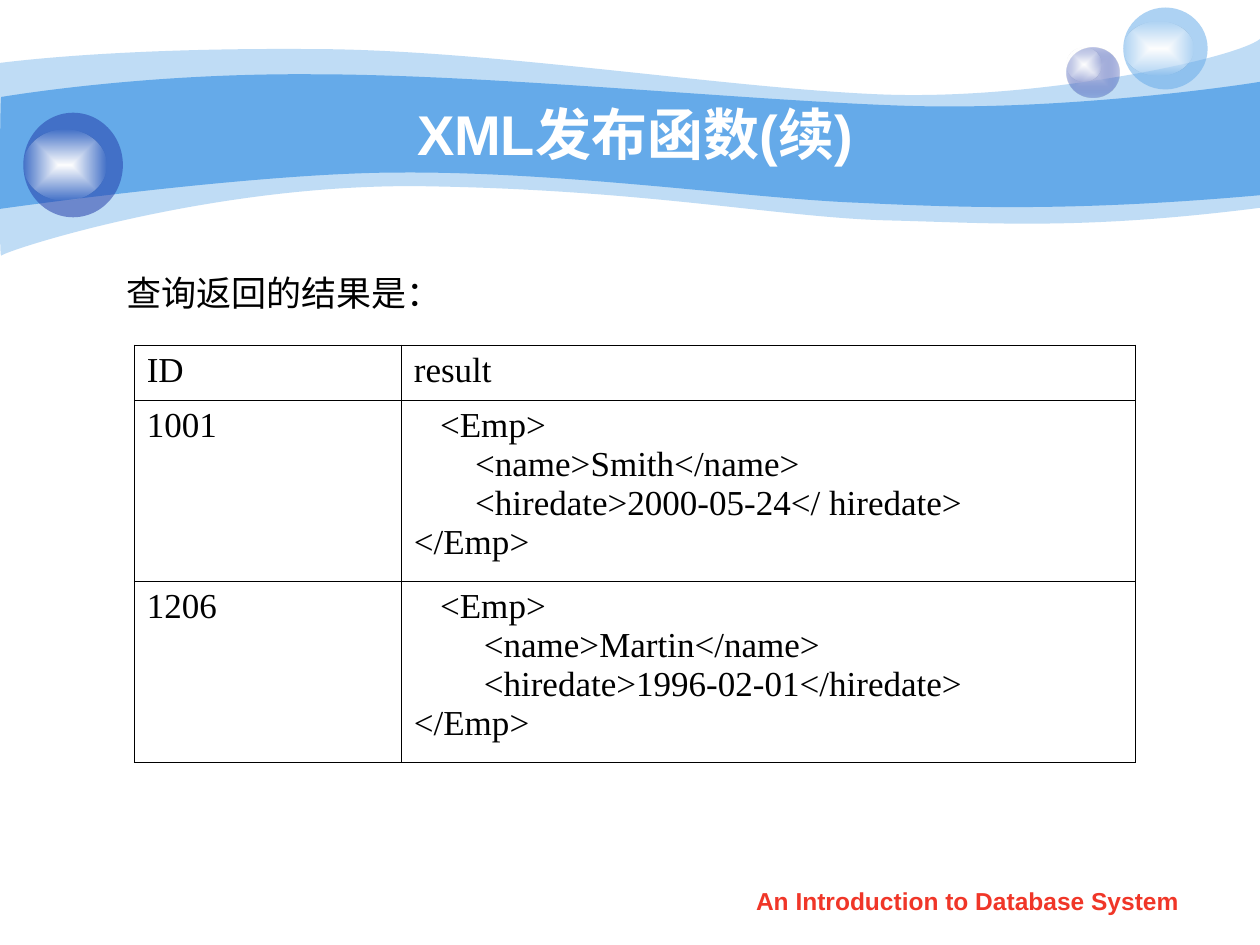
from lxml import etree
from pptx import Presentation
from pptx.dml.color import RGBColor
from pptx.enum.shapes import MSO_SHAPE
from pptx.enum.text import MSO_ANCHOR, PP_ALIGN
from pptx.oxml.ns import qn
from pptx.util import Inches, Pt

OVAL = MSO_SHAPE.OVAL
LEFT, CENTER = PP_ALIGN.LEFT, PP_ALIGN.CENTER
TOP, MIDDLE = MSO_ANCHOR.TOP, MSO_ANCHOR.MIDDLE

WHITE = RGBColor(0xFF, 0xFF, 0xFF)
CLEAR_WHITE = RGBColor(0xFE, 0xFE, 0xFE)
BLACK = RGBColor(0x00, 0x00, 0x00)
SKY = RGBColor(0x65, 0xAA, 0xE9)
NAVY = RGBColor(0x23, 0x3D, 0xA9)
LILAC = RGBColor(0xC6, 0xCC, 0xE8)
RED = RGBColor(0xF0, 0x36, 0x28)

COLUMNS, ROWS = 100, 75
WIDTH, HEIGHT = Inches(10), Inches(7.5)
SANS, SERIF = "Arial", "Times New Roman"
BODY_SIZE = 20
SPACE_WIDTH = BODY_SIZE / 4

PALE_WAVE = [
    [(0, 5)], [(2.4, 4.7), (10.7, 3.8), (24.7, 3.9)],
    [(38.6, 3.9), (57.5, 7), (69.9, 7.5)], [(82.2, 8), (98, 4.7), (100, 3.1)],
    [(100, 16.5)], [(85.8, 18.3), (78.7, 17.7), (70.5, 17.5)],
    [(62.2, 17.3), (51.5, 15.1), (34.3, 14.8)],
    [(17.2, 14.4), (0.4, 19.9), (0.1, 20.3)], [(-0.1, 20.8), (0, 7.5), (0, 5)],
]
STRONG_WAVE = [
    [(0.1, 7.7)], [(0.2, 7.7), (11, 5.8), (24.8, 5.9)],
    [(38.6, 5.9), (59.5, 8), (71.8, 8.4)], [(84.1, 8.8), (97.6, 6.9), (100, 6.5)],
    [(100, 15.5)], [(85.3, 16.8), (76.5, 16.5), (68.2, 16.1)],
    [(59.9, 15.8), (44.7, 13.6), (31.7, 13.7)],
    [(20.3, 13.7), (-0.2, 16.6), (-0.1, 16.6)], [(0, 16.6), (0, 7.7), (0.1, 7.7)],
]
RESULTS = [
    ("ID", [("result", 0)]),
    ("1001", [("<Emp>", 3), ("<name>Smith</name>", 7),
              ("<hiredate>2000-05-24</ hiredate>", 7), ("</Emp>", 0)]),
    ("1206", [("<Emp>", 3), ("<name>Martin</name>", 8),
              ("<hiredate>1996-02-01</hiredate>", 8), ("</Emp>", 0)]),
]


def across(columns):
    return round(WIDTH * columns / COLUMNS)


def down(rows):
    return round(HEIGHT * rows / ROWS)


def place(box):
    left, top, width, height = box
    return across(left), down(top), across(width), down(height)


def add_color(parent, color, opacity):
    element = etree.SubElement(parent, qn("a:srgbClr"), val=str(color))
    if opacity < 100:
        etree.SubElement(element, qn("a:alpha"), val=str(opacity * 1000))


def paint(shape, *stops):
    shape.shadow.inherit = False
    shape.line.fill.background()
    shape.fill.background()
    old = shape._element.spPr.find(qn("a:noFill"))
    if len(stops) == 1:
        fill = etree.Element(qn("a:solidFill"))
        add_color(fill, *stops[0])
    else:
        fill = etree.Element(qn("a:gradFill"), rotWithShape="1")
        stop_list = etree.SubElement(fill, qn("a:gsLst"))
        for position, stop in zip(("0", "100000"), stops):
            add_color(etree.SubElement(stop_list, qn("a:gs"), pos=position), *stop)
        shade = etree.SubElement(fill, qn("a:path"), path="rect")
        etree.SubElement(shade, qn("a:fillToRect"),
                         {side: "50000" for side in "ltrb"})
    old.getparent().replace(old, fill)


def bend(shape, segments):
    lines = iter(list(shape._element.iter(qn("a:lnTo"))))
    for segment in segments:
        parts = [next(lines) for _ in segment]
        if len(parts) == 3:
            curve = etree.Element(qn("a:cubicBezTo"))
            parts[0].addprevious(curve)
            for part in parts:
                curve.append(part[0])
                part.getparent().remove(part)


def add_wave(page, outline, opacity):
    corners = [(across(x), down(y)) for segment in outline for x, y in segment]
    builder = page.shapes.build_freeform(*corners[0], scale=1.0)
    builder.add_line_segments(corners[1:], close=True)
    wave = builder.convert_to_shape()
    bend(wave, outline[1:])
    paint(wave, (SKY, opacity))


def add_bubble(page, box, glow_box, *stops):
    group = page.shapes.add_group_shape()
    paint(group.shapes.add_shape(OVAL, *place(box)), *stops)
    paint(group.shapes.add_shape(OVAL, *place(glow_box)), (WHITE, 100), (CLEAR_WHITE, 0))


def write(para, text, size=BODY_SIZE, font=SERIF, color=BLACK, bold=False,
          align=LEFT, indent=0):
    para.alignment = align
    if indent:
        para._p.get_or_add_pPr().set("marL", str(Pt(indent * SPACE_WIDTH)))
    span = para.add_run()
    span.text = text
    span.font.size = Pt(size)
    span.font.name = font
    span.font.bold = bold
    span.font.color.rgb = color


def add_text(page, box, text, anchor=TOP, wrap=True, **style):
    frame = page.shapes.add_textbox(*place(box)).text_frame
    frame.word_wrap = wrap
    frame.vertical_anchor = anchor
    write(frame.paragraphs[0], text, **style)


def frame_cell(cell):
    properties = cell._tc.get_or_add_tcPr()
    for side in ("a:lnL", "a:lnR", "a:lnT", "a:lnB"):
        border = etree.SubElement(properties, qn(side), w=str(Pt(0.45)))
        add_color(etree.SubElement(border, qn("a:solidFill")), BLACK, 100)
    cell.fill.background()


def add_results(page, box):
    table = page.shapes.add_table(len(RESULTS), 2, *place(box)).table
    table.first_row = table.horz_banding = False
    for column, width in zip(table.columns, (21.2, 58.3)):
        column.width = across(width)
    for row, height in zip(table.rows, (4.38, 14.37, 14.37)):
        row.height = down(height)
    for row, (key, lines) in zip(table.rows, RESULTS):
        for cell, content in zip(row.cells, ([(key, 0)], lines)):
            frame_cell(cell)
            frame = cell.text_frame
            for number, (text, indent) in enumerate(content):
                para = frame.add_paragraph() if number else frame.paragraphs[0]
                write(para, text, indent=indent)


def add_banner(page):
    add_wave(page, PALE_WAVE, 41)
    add_wave(page, STRONG_WAVE, 100)
    add_bubble(page, (84.65, 3.75, 4.2, 4), (84.65, 3.75, 2.8, 2.7), (LILAC, 100), (NAVY, 31))
    add_bubble(page, (89.15, 0.6, 6.7, 6.5), (89.15, 1.7, 5.6, 4.3), (SKY, 53))
    add_bubble(page, (1.85, 8.95, 7.9, 8.3), (1.85, 10.3, 6.6, 5.6), (NAVY, 53))


def main():
    deck = Presentation()
    deck.slide_width, deck.slide_height = WIDTH, HEIGHT
    page = deck.slides.add_slide(deck.slide_layouts[6])
    add_banner(page)
    add_text(page, (10, 7.5, 80.8, 6.2), "XML发布函数(续)", anchor=MIDDLE,
             size=32, font=SANS, color=WHITE, bold=True, align=CENTER)
    add_text(page, (9.05, 21, 27, 4.4), "查询返回的结果是：", anchor=MIDDLE, wrap=False)
    add_results(page, (10.65, 27.37, 79.5, 33.12))
    add_text(page, (57.1, 69.8, 39.4, 3.5), "An Introduction to Database System",
             size=14, font=SANS, color=RED, bold=True, align=CENTER)
    deck.save("out.pptx")


if __name__ == "__main__":
    main()
